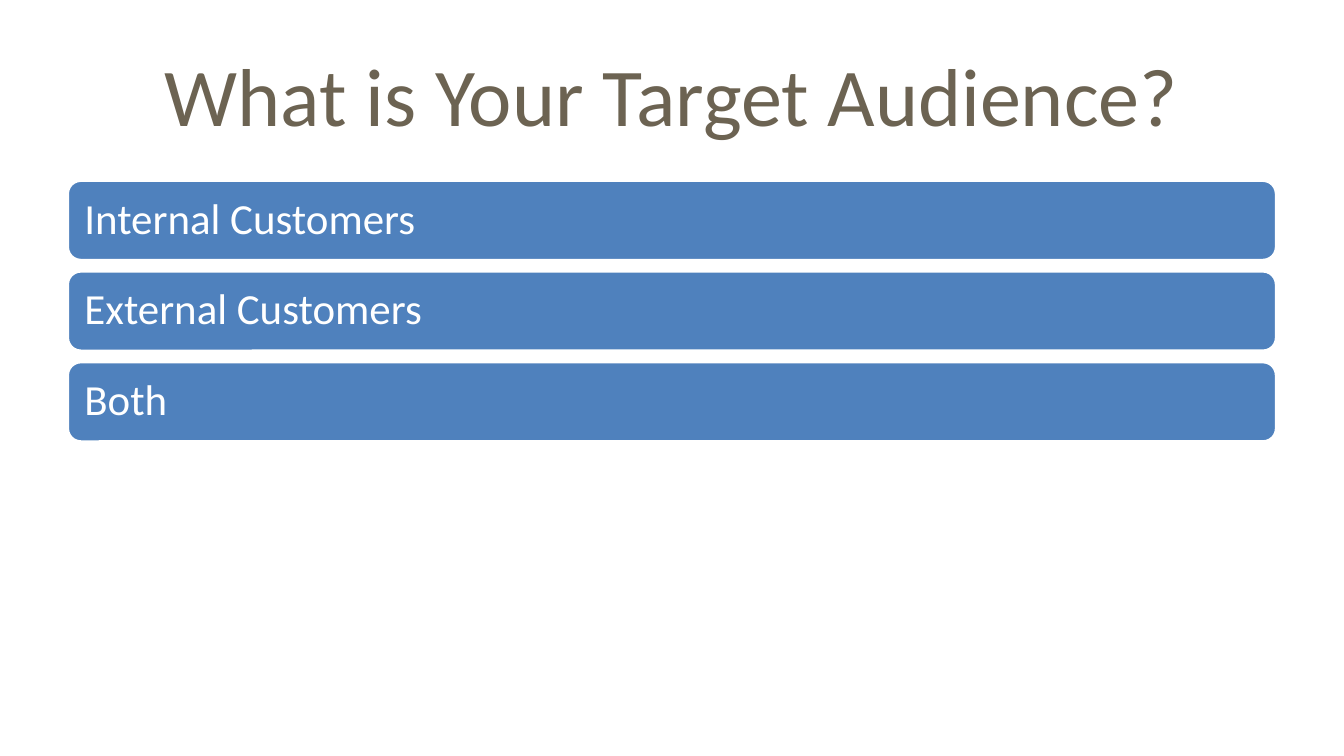
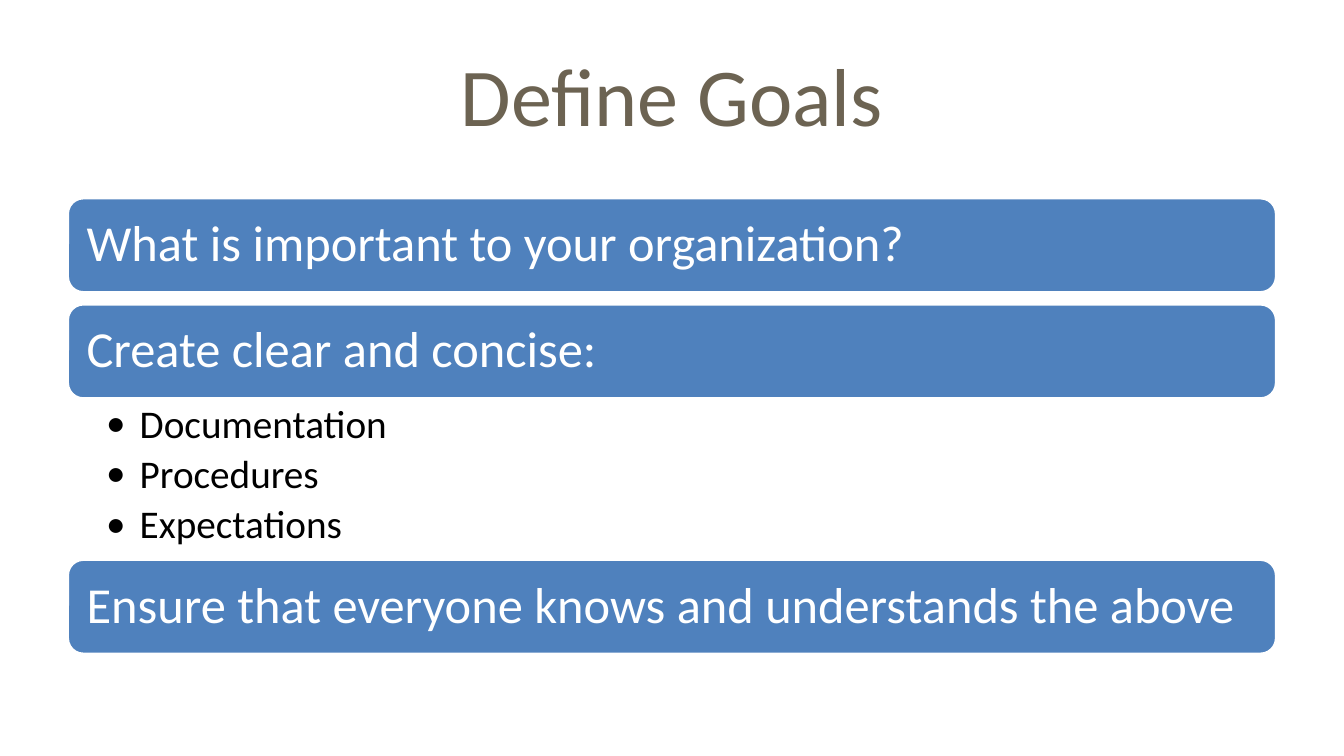
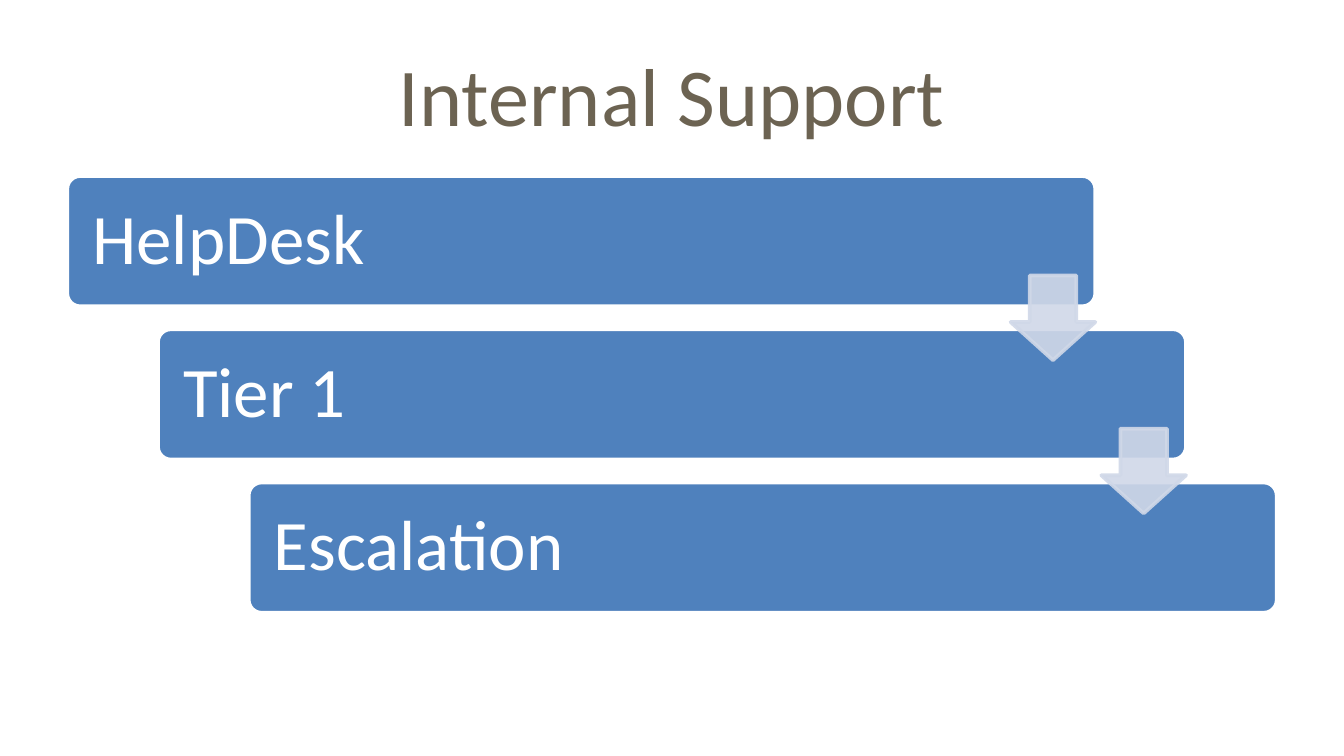
from dataclasses import dataclass
from lxml.etree import SubElement as Sub
from pptx import Presentation
from pptx.dml.color import RGBColor as RGB
from pptx.enum.shapes import MSO_SHAPE as Shape
from pptx.enum.text import MSO_ANCHOR as Anchor, PP_ALIGN as Align
from pptx.oxml.ns import qn
from pptx.util import Inches, Pt


@dataclass(frozen=True)
class Theme:
    font: str = "Calibri"
    title: RGB = RGB(0x6C, 0x63, 0x52)
    bar: RGB = RGB(0x4F, 0x81, 0xBD)
    arrow: RGB = RGB(0xD0, 0xD8, 0xE8)
    white: RGB = RGB(0xFF, 0xFF, 0xFF)
    black: RGB = RGB(0, 0, 0)
    head: int = 44
    short: int = 23
    goal: int = 27
    point: int = 21
    tier: int = 38
    edge: int = 2


look = Theme()
left, width = 0.5, 9


def write(par, text, size, color, align=Align.LEFT):
    par.alignment = align
    run = par.add_run()
    run.text = text
    run.font.name = look.font
    run.font.size = Pt(size)
    run.font.color.rgb = color


def add_bar(slide, text, x, y, w, h, size, inset, round_by=0.17):
    bar = slide.shapes.add_shape(
        Shape.ROUNDED_RECTANGLE, Inches(x), Inches(y), Inches(w), Inches(h))
    bar.adjustments[0] = round_by
    bar.shadow.inherit = False
    bar.fill.solid()
    bar.fill.fore_color.rgb = look.bar
    bar.line.color.rgb = look.white
    bar.line.width = Pt(look.edge)
    frame = bar.text_frame
    frame.word_wrap = True
    frame.vertical_anchor = Anchor.MIDDLE
    frame.margin_left = frame.margin_right = Inches(inset)
    frame.margin_top = frame.margin_bottom = 0
    par = frame.paragraphs[0]
    par.line_spacing = 0.9
    write(par, text, size, look.white)


deck = Presentation()
deck.slide_width, deck.slide_height = Inches(10), Inches(10 * 9 / 16)

# Slides with their titles
pages = []
for text in ("What is Your Target Audience?", "Define Goals", "Internal Support"):
    page = deck.slides.add_slide(deck.slide_layouts[6])
    box = page.shapes.add_textbox(
        Inches(left), Inches(0.23), Inches(width), Inches(0.94))
    box.text_frame.word_wrap = True
    box.text_frame.vertical_anchor = Anchor.MIDDLE
    write(box.text_frame.paragraphs[0], text, look.head, look.title, Align.CENTER)
    pages.append(page)
crowd, goals, support = pages

# Audience: three equal bars
for i, text in enumerate(("Internal Customers", "External Customers", "Both")):
    add_bar(crowd, text, left, 1.34 + i * 1.35 / 2, width, 0.6, look.short, 0.1)

# Goals: bars around a bullet list
for text, top in (
    ("What is important to your organization?", 1.47),
    ("Create clear and concise:", 2.26),
    ("Ensure that everyone knows and understands the above", 4.16),
):
    add_bar(goals, text, left, top, width, 0.71, look.goal, 0.11)

box = goals.shapes.add_textbox(
    Inches(left), Inches(2.97), Inches(width), Inches(1.19))
frame = box.text_frame
frame.word_wrap = True
frame.margin_left, frame.margin_right = Inches(0.29), Inches(0.21)
frame.margin_top = frame.margin_bottom = Inches(0.04)
for i, text in enumerate(("Documentation", "Procedures", "Expectations")):
    par = frame.add_paragraph() if i else frame.paragraphs[0]
    props = par._p.get_or_add_pPr()
    props.set("marL", str(Inches(0.25)))
    props.set("indent", str(-Inches(0.25)))
    Sub(props, qn("a:buFont"), typeface=look.font)
    Sub(props, qn("a:buChar"), char="•")
    par.line_spacing = 0.9
    par.space_after = Pt(0.2 * look.point)
    write(par, text, look.point, look.black)

# Support: a staircase of tiers
wide, first, rise = 7.65, 1.31, 1.14
step = (width - wide) / 2
for i, text in enumerate(("HelpDesk", "Tier 1", "Escalation")):
    add_bar(support, text, left + i * step, first + i * rise,
            wide, 0.97, look.tier, 0.16, 0.1)

# Arrows at the right end of each step
side = 0.63
for i in range(2):
    arrow = support.shapes.add_shape(
        Shape.DOWN_ARROW, Inches(left + i * step + wide - side),
        Inches(first + i * rise + 0.74), Inches(side), Inches(side))
    arrow.adjustments[0], arrow.adjustments[1] = 0.55, 0.45
    arrow.shadow.inherit = False
    arrow.fill.solid()
    arrow.fill.fore_color.rgb = look.arrow
    arrow.line.color.rgb = look.arrow
    arrow.line.width = Pt(look.edge)
    for color in arrow._element.spPr.iter(qn("a:srgbClr")):
        Sub(color, qn("a:alpha"), val="90000")

deck.save("out.pptx")
